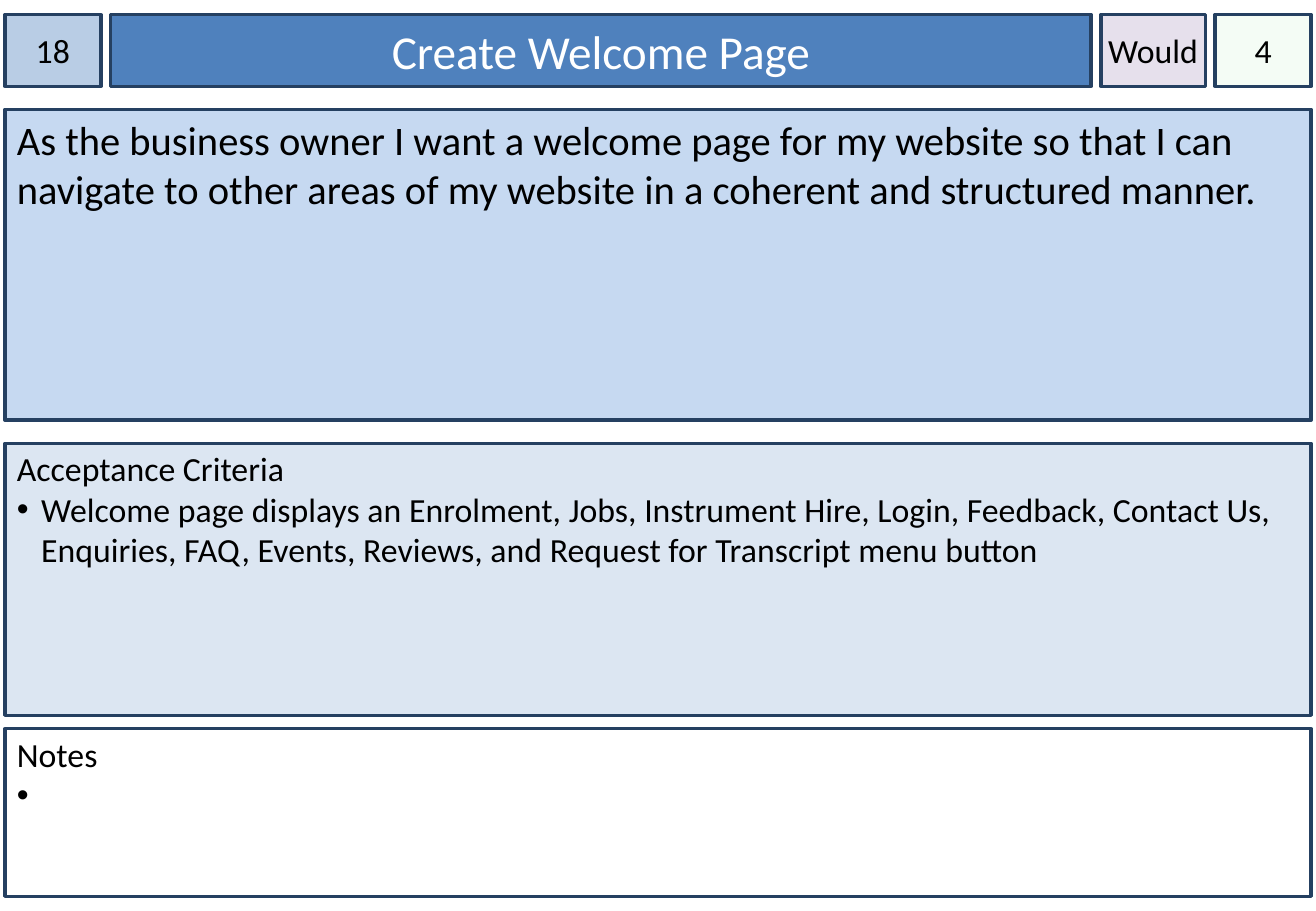
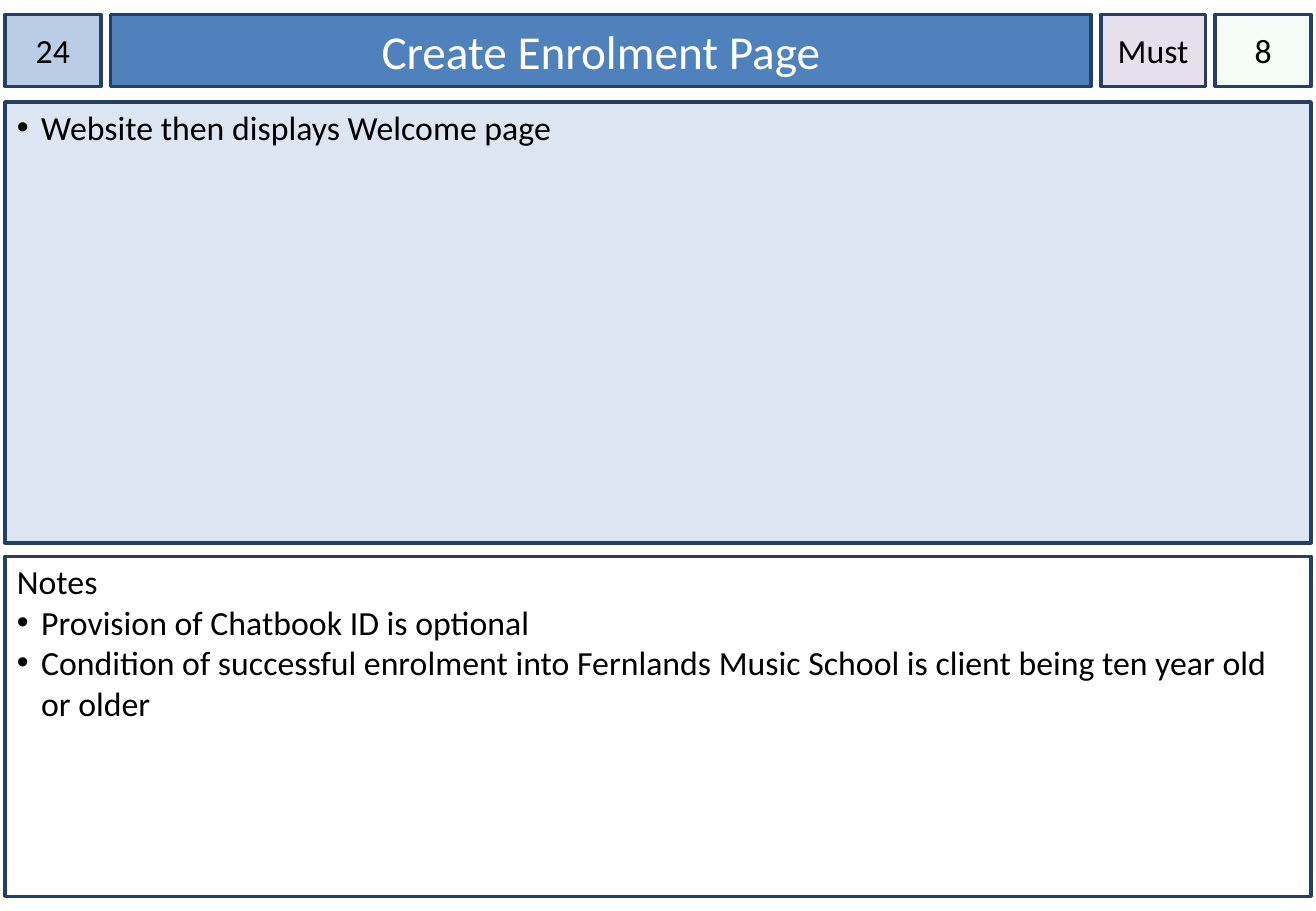
from dataclasses import dataclass
from lxml.etree import SubElement as Sub
from pptx import Presentation
from pptx.dml.color import RGBColor as RGB
from pptx.enum.shapes import MSO_SHAPE as Shape
from pptx.enum.text import MSO_ANCHOR as Anchor, PP_ALIGN as Align
from pptx.oxml.ns import qn
from pptx.util import Pt

PX = 9144


@dataclass(frozen=True)
class Theme:
    """Hold the colours, type sizes and insets of the cards."""
    font: str = "Calibri"
    ink: str = "000000"
    white: str = "FFFFFF"
    edge: str = "254061"
    code: str = "B9CDE5"
    title: str = "4F81BD"
    rank: str = "E6E0EC"
    size: str = "CCF0CD"
    story: str = "C6D9F1"
    tests: str = "DCE6F2"
    line: int = 2
    head: int = 28
    lead: int = 24
    text: int = 20
    wide: tuple = (10, 5, 10, 5)
    slim: tuple = (0, 5, 0, 5)
    list: tuple = (10, 4, 10, 5)


T = Theme()
LEFT, WIDTH = 4, 1075
BAND = (LEFT, 12, WIDTH, 59)


def panel(slide, box, fill, pad, anchor=Anchor.TOP, wrap=True):
    """Draw one edged rectangle and return its shape."""
    rect = slide.shapes.add_shape(Shape.RECTANGLE, *(n * PX for n in box))
    rect.shadow.inherit = False
    rect.fill.solid()
    rect.fill.fore_color.rgb = RGB.from_string(fill)
    rect.line.color.rgb = RGB.from_string(T.edge)
    rect.line.width = Pt(T.line)
    frame = rect.text_frame
    frame.word_wrap = wrap
    frame.vertical_anchor = anchor
    (frame.margin_left, frame.margin_top,
     frame.margin_right, frame.margin_bottom) = (n * PX for n in pad)
    return rect


def write(para, text, size, ink=T.ink, align=Align.LEFT):
    """Add one styled run to a paragraph."""
    para.alignment = align
    run = para.add_run()
    run.text = text
    run.font.name = T.font
    run.font.size = Pt(size)
    run.font.color.rgb = RGB.from_string(ink)


def dot(para, step=20):
    """Give a paragraph a hanging bullet."""
    props = para._p.get_or_add_pPr()
    props.set("marL", str(step * PX))
    props.set("indent", str(-step * PX))
    Sub(props, qn("a:buFont"), typeface="Arial")
    Sub(props, qn("a:buChar"), char="•")


def fade(rect, share):
    """Make a solid fill partly clear."""
    tint = rect._element.spPr.find(qn("a:solidFill"))[0]
    Sub(tint, qn("a:alpha"), val=str(share * 1000))


def header(slide, box, code, title, rank, size):
    """Lay out the four cells of the top band."""
    left, top, width, high = box
    side, mid, gap = 79, 86, 8
    main = width - 2 * side - mid - 3 * gap
    cells = (
        (code, side, T.code, T.slim, T.text, T.ink, True),
        (title, main, T.title, T.wide, T.head, T.white, True),
        (rank, mid, T.rank, T.slim, T.text, T.ink, False),
        (size, side, T.size, T.slim, T.text, T.ink, True),
    )
    for text, wide, fill, pad, pts, ink, wrap in cells:
        rect = panel(slide, (left, top, wide, high), fill, pad,
                     Anchor.MIDDLE, wrap)
        write(rect.text_frame.paragraphs[0], text, pts, ink, Align.CENTER)
        left += wide + gap
    fade(rect, 20)


def story(slide, box, text):
    """Place the user story panel."""
    rect = panel(slide, box, T.story, T.wide)
    write(rect.text_frame.paragraphs[0], text, T.lead)


def points(slide, box, fill, head, items):
    """Place a panel with an optional heading and bullets."""
    frame = panel(slide, box, fill, T.list).text_frame
    rows = [(head, False)] if head else []
    rows += [(item, True) for item in items]
    for num, (text, mark) in enumerate(rows):
        para = frame.add_paragraph() if num else frame.paragraphs[0]
        if mark:
            dot(para)
        write(para, text, T.text)


def row(top, high):
    """Return a full-width box."""
    return LEFT, top, WIDTH, high


def main():
    """Build and save the two cards."""
    deck = Presentation()
    deck.slide_width, deck.slide_height = 1083 * PX, 750 * PX
    blank = deck.slide_layouts[6]

    card = deck.slides.add_slide(blank)
    header(card, BAND, "18", "Create Welcome Page", "Would", "4")
    story(card, row(90, 256),
          "As the business owner I want a welcome page for my website so that "
          "I can navigate to other areas of my website in a coherent and "
          "structured manner.")
    points(card, row(365, 224), T.tests, "Acceptance Criteria", [
        "Welcome page displays an Enrolment, Jobs, Instrument Hire, Login, "
        "Feedback, Contact Us, Enquiries, FAQ, Events, Reviews, and Request "
        "for Transcript menu button"])
    points(card, row(600, 138), T.white, "Notes", [" "])

    card = deck.slides.add_slide(blank)
    header(card, BAND, "24", "Create Enrolment Page", "Must", "8")
    points(card, row(84, 363), T.tests, None,
           ["Website then displays Welcome page"])
    points(card, row(458, 280), T.white, "Notes", [
        "Provision of Chatbook ID is optional",
        "Condition of successful enrolment into Fernlands Music School is "
        "client being ten year old or older"])

    deck.save("out.pptx")


if __name__ == "__main__":
    main()
